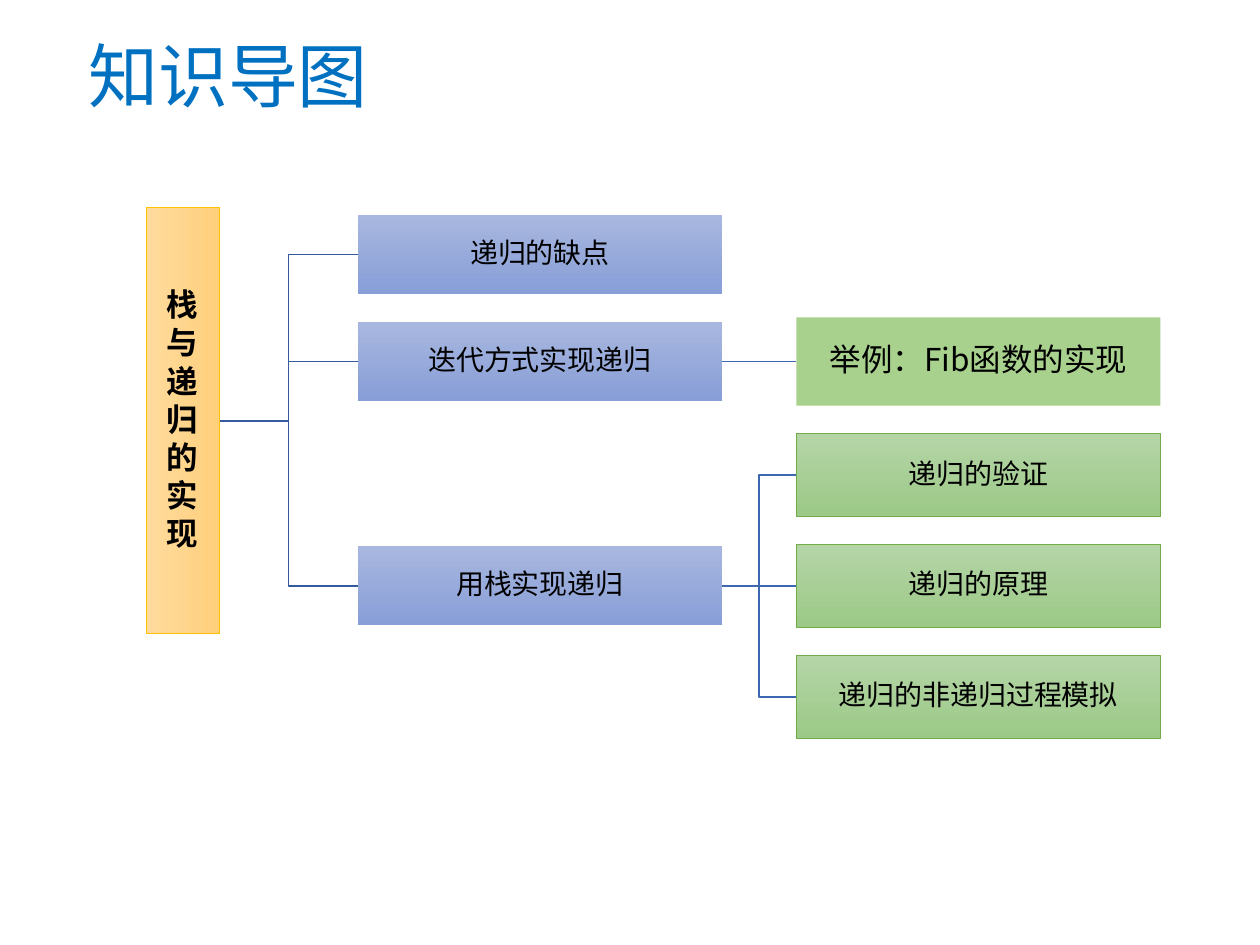
"""Build the knowledge map slide on stacks and recursion."""
import lxml.etree
import pptx
import pptx.dml.color
import pptx.enum.shapes
import pptx.enum.text
import pptx.oxml
import pptx.oxml.ns
import pptx.util

Inches, Pt = pptx.util.Inches, pptx.util.Pt
RGB = pptx.dml.color.RGBColor.from_string
qn = pptx.oxml.ns.qn
NOTO = "Noto Sans CJK SC"
COLORS = {
    "title": "0070C0", "text": "000000",
    "root_start": "FFDB9E", "root_end": "FFD07C", "root_edge": "FFC000",
    "topic_start": "A8B7DF", "topic_end": "889ED7",
    "detail_start": "B5D5A7", "detail_end": "9CC987", "detail_edge": "70AD47",
    "example_start": "A9D18E",
    "root_link": "365B9D", "topic_link": "3E67B2",
}
COLUMNS = {"root": (1.16, 0.58), "topic": (2.84, 2.89), "detail": (6.32, 2.89)}
ROOT_ROW, TOP_ROW, EXAMPLE_ROW, STACK_ROW, DETAIL_PITCH = 3.34, 2.02, 2.87, 4.65, 0.88

# kind, column, row centre, height, lines, size, font
NODES = [
    ("root", "root", ROOT_ROW, 3.38, list("栈与递归的实现"), 18, NOTO),
    ("topic", "topic", TOP_ROW, 0.63, ["递归的缺点"], 16, NOTO),
    ("topic", "topic", EXAMPLE_ROW, 0.63, ["迭代方式实现递归"], 16, NOTO),
    ("topic", "topic", STACK_ROW, 0.63, ["用栈实现递归"], 16, NOTO),
    ("example", "detail", EXAMPLE_ROW, 0.7, ["举例：Fib函数的实现"], 18, NOTO),
]
for step, label in enumerate(["递归的验证", "递归的原理", "递归的非递归过程模拟"], -1):
    NODES.append(("detail", "detail", STACK_ROW + step * DETAIL_PITCH, 0.66, [label], 16, "Calibri"))

LINKS = [("root", "topic", ROOT_ROW, row) for row in (TOP_ROW, EXAMPLE_ROW, STACK_ROW)]
LINKS.append(("topic", "detail", EXAMPLE_ROW, EXAMPLE_ROW))
LINKS += [("topic", "detail", STACK_ROW, STACK_ROW + step * DETAIL_PITCH) for step in (-1, 0, 1)]


def style_text(paragraph, size, font_name, color, bold=False):
    paragraph.alignment = pptx.enum.text.PP_ALIGN.CENTER
    font = paragraph.font
    font.size, font.name, font.bold = Pt(size), font_name, bold
    font.color.rgb = RGB(COLORS[color])
    latin = paragraph._p.pPr.find(qn("a:defRPr")).find(qn("a:latin"))
    east_asian = pptx.oxml.parse_xml(f'<a:ea {pptx.oxml.ns.nsdecls("a")} typeface="{NOTO}"/>')
    latin.addnext(east_asian)
    return latin


deck = pptx.Presentation()
deck.slide_width, deck.slide_height = Inches(10), Inches(7.5)
slide = deck.slides.add_slide(deck.slide_layouts[5])
shapes = slide.shapes

title = shapes.title
title.left, title.top, title.width, title.height = map(Inches, (0.43, 0.21, 2.76, 0.77))
title.text_frame.text = "知识导图"
title.text_frame.auto_size = pptx.enum.text.MSO_AUTO_SIZE.NONE
title_latin = style_text(title.text_frame.paragraphs[0], 40, NOTO, "title")
title_latin.addprevious(pptx.oxml.parse_xml(
    f'<a:effectLst {pptx.oxml.ns.nsdecls("a")}>'
    '<a:outerShdw blurRad="38100" dist="38100" dir="5400000">'
    '<a:srgbClr val="000000"><a:alpha val="40000"/></a:srgbClr>'
    '</a:outerShdw></a:effectLst>'))

for parent, child, start_row, end_row in LINKS:
    start = sum(COLUMNS[parent])
    end = COLUMNS[child][0]
    middle = (start + end) / 2
    if start_row == end_row:
        link = shapes.add_connector(
            pptx.enum.shapes.MSO_CONNECTOR.STRAIGHT,
            *map(Inches, (start, start_row, end, end_row)))
        lxml.etree.SubElement(link._element.spPr, qn("a:effectLst"))
    else:
        outline = shapes.build_freeform(Inches(start), Inches(start_row))
        corners = [(middle, start_row), (middle, end_row), (end, end_row)]
        outline.add_line_segments([(Inches(x), Inches(y)) for x, y in corners], close=False)
        link = outline.convert_to_shape()
        link.fill.background()
        link.shadow.inherit = False
    link.line.color.rgb = RGB(COLORS[f"{parent}_link"])
    link.line.width = Pt(1)

for kind, column, row, height, lines, size, font_name in NODES:
    left, width = COLUMNS[column]
    node = shapes.add_shape(
        pptx.enum.shapes.MSO_SHAPE.RECTANGLE,
        *map(Inches, (left, row - height / 2, width, height)))
    node.shadow.inherit = False
    if f"{kind}_end" in COLORS:
        node.fill.gradient()
        node.fill.gradient_angle = 0 if kind == "root" else 270
        for stop, end in zip(node.fill.gradient_stops, ("start", "end")):
            stop.color.rgb = RGB(COLORS[f"{kind}_{end}"])
            stop.position = 0 if end == "start" else 1
    else:
        node.fill.solid()
        node.fill.fore_color.rgb = RGB(COLORS[f"{kind}_start"])
    if f"{kind}_edge" in COLORS:
        node.line.color.rgb = RGB(COLORS[f"{kind}_edge"])
        node.line.width = Pt(0.5)
    else:
        node.line.fill.background()
    frame = node.text_frame
    frame.word_wrap = True
    frame.vertical_anchor = pptx.enum.text.MSO_ANCHOR.MIDDLE
    frame.margin_left = frame.margin_right = frame.margin_top = frame.margin_bottom = Inches(0.01)
    frame.text = "\n".join(lines)
    for paragraph in frame.paragraphs:
        paragraph.line_spacing = 0.9
        paragraph.space_after = Pt(2.3)
        style_text(paragraph, size, font_name, "text", bold=kind == "root")

deck.save("out.pptx")
